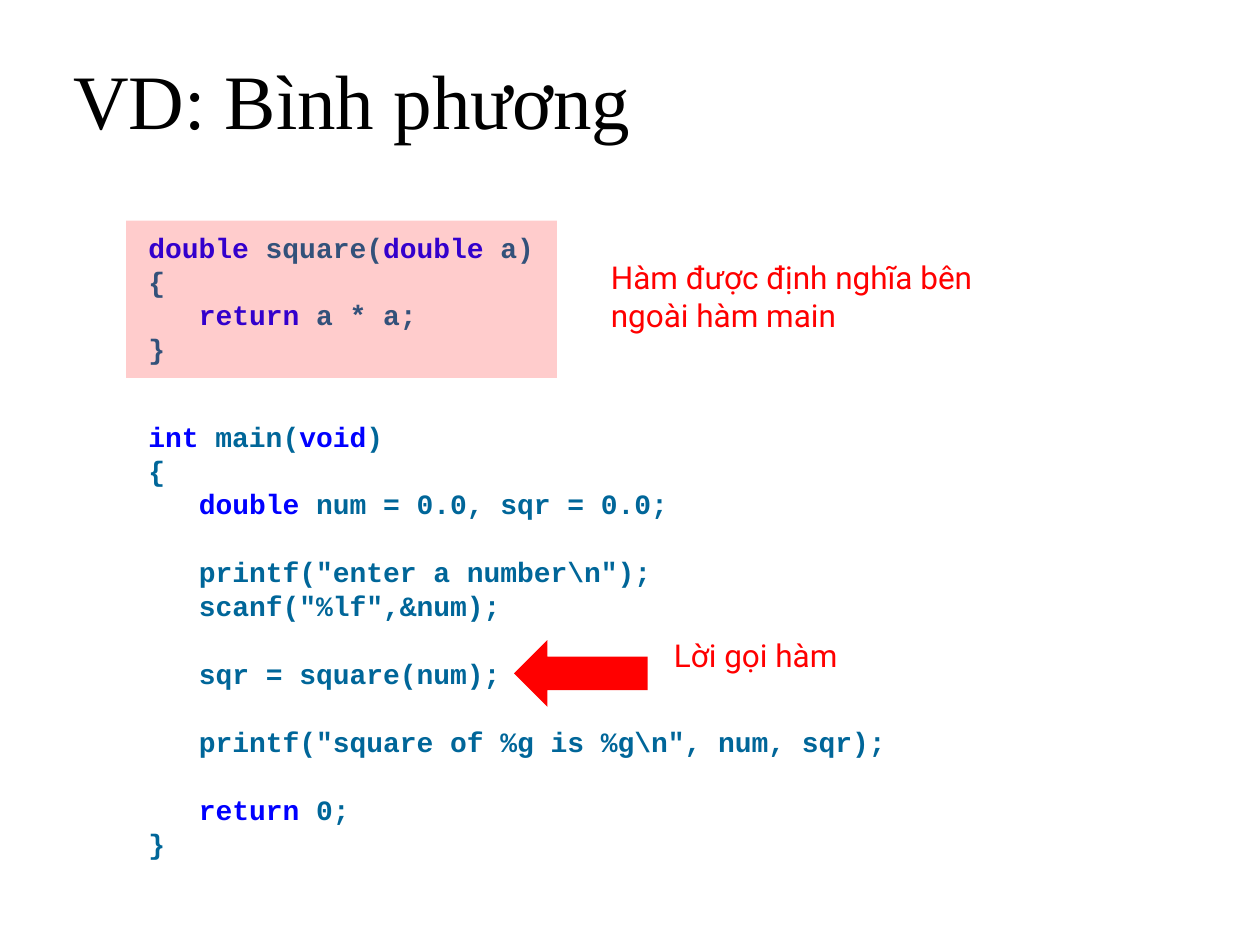
from lxml import etree
from pptx import Presentation
from pptx import util as u
from pptx.dml.color import RGBColor
from pptx.enum import shapes, text
from pptx.oxml import ns

BLACK = RGBColor(0x00, 0x00, 0x00)
RED = RGBColor(0xFF, 0x00, 0x00)
KEYWORD = RGBColor(0x00, 0x00, 0xFF)
CODE = RGBColor(0x00, 0x66, 0x99)

TITLE_FONT = {"name": "Times New Roman", "size": u.Pt(44)}
NOTE_FONT = {"name": "Roboto", "size": u.Pt(18)}
CODE_FONT = {"name": "Courier New", "size": u.Pt(16), "bold": True}
CODE_LINE = {"line_spacing": 0.8, "space_before": u.Pt(4)}
GAP_LINE = {"line_spacing": 0.8, "space_before": u.Pt(23.4)}
CODE_INDENT = u.Inches(0.4)

# fmt: off
SQUARE_CODE = [
    (0, CODE_LINE, "|double| square(|double| a)"),
    (0, CODE_LINE, "{"),
    (1, CODE_LINE, "|return| a * a;"),
    (0, CODE_LINE, "}"),
]
MAIN_CODE = [
    (0, CODE_LINE, "|int| main(|void|)"),
    (0, CODE_LINE, "{"),
    (1, CODE_LINE, "|double| num = 0.0, sqr = 0.0;"),
    (1, GAP_LINE, r'printf("enter a number\n");'),
    (1, CODE_LINE, r'scanf("%lf",&num);'),
    (1, GAP_LINE, "sqr = square(num);"),
    (1, GAP_LINE, r'printf("square of %g is %g\n", num, sqr);'),
    (1, GAP_LINE, "|return| 0;"),
    (0, CODE_LINE, "}"),
]
# fmt: on


def apply(target, values):
    for key, value in values.items():
        setattr(target, key, value)


class CodeSlide:
    def __init__(self, deck):
        self.slide = deck.slides.add_slide(deck.slide_layouts[5])

    def add_run(self, paragraph, words, font, color):
        run = paragraph.add_run()
        run.text = words
        apply(run.font, font)
        run.font.color.rgb = color

    def frame(self, box):
        holder = self.slide.shapes.add_textbox(*map(u.Inches, box))
        holder.text_frame.word_wrap = True
        return holder.text_frame

    def title(self, box, words):
        heading = self.slide.shapes.title
        apply(heading, dict(zip(("left", "top", "width", "height"), map(u.Inches, box))))
        heading.text_frame.vertical_anchor = text.MSO_ANCHOR.MIDDLE
        line = heading.text_frame.paragraphs[0]
        apply(line, {"alignment": text.PP_ALIGN.LEFT, "line_spacing": 0.9})
        self.add_run(line, words, TITLE_FONT, BLACK)

    def note(self, box, words):
        frame = self.frame(box)
        frame.auto_size = text.MSO_AUTO_SIZE.SHAPE_TO_FIT_TEXT
        line = frame.paragraphs[0]
        line.space_before = u.Pt(11.2)
        self.add_run(line, words, NOTE_FONT, RED)

    def code(self, box, lines):
        frame = self.frame(box)
        for number, (level, spacing, source) in enumerate(lines):
            line = frame.add_paragraph() if number else frame.paragraphs[0]
            apply(line, spacing)
            line._p.get_or_add_pPr().set("marL", str(level * CODE_INDENT))
            for part, words in enumerate(source.split("|")):
                if words:
                    self.add_run(line, words, CODE_FONT, KEYWORD if part % 2 else CODE)

    def shape(self, kind, box, opacity=100):
        figure = self.slide.shapes.add_shape(kind, *map(u.Inches, box))
        figure.shadow.inherit = False
        figure.fill.solid()
        figure.fill.fore_color.rgb = RED
        figure.line.fill.background()
        if opacity < 100:
            color = figure.fill._xPr.find(".//" + ns.qn("a:srgbClr"))
            etree.SubElement(color, ns.qn("a:alpha")).set("val", str(opacity * 1000))


def main():
    deck = Presentation()
    deck.slide_width, deck.slide_height = u.Inches(10), u.Inches(7.5)
    page = CodeSlide(deck)
    page.title((0.48, 0.11, 9.02, 1.44), "VD: Bình phương")
    page.code((1.08, 3.33, 8.42, 3.54), MAIN_CODE)
    page.note((4.75, 2, 3.67, 0.7), "Hàm được định nghĩa bên ngoài hàm main")
    page.code((1.08, 1.83, 3.42, 1.17), SQUARE_CODE)
    page.shape(shapes.MSO_SHAPE.RECTANGLE, (1, 1.75, 3.42, 1.25), opacity=20)
    page.note((5.25, 5, 2.91, 0.4), "Lời gọi hàm")
    page.shape(shapes.MSO_SHAPE.LEFT_ARROW, (4.08, 5.08, 1.06, 0.53))
    deck.save("out.pptx")


if __name__ == "__main__":
    main()
